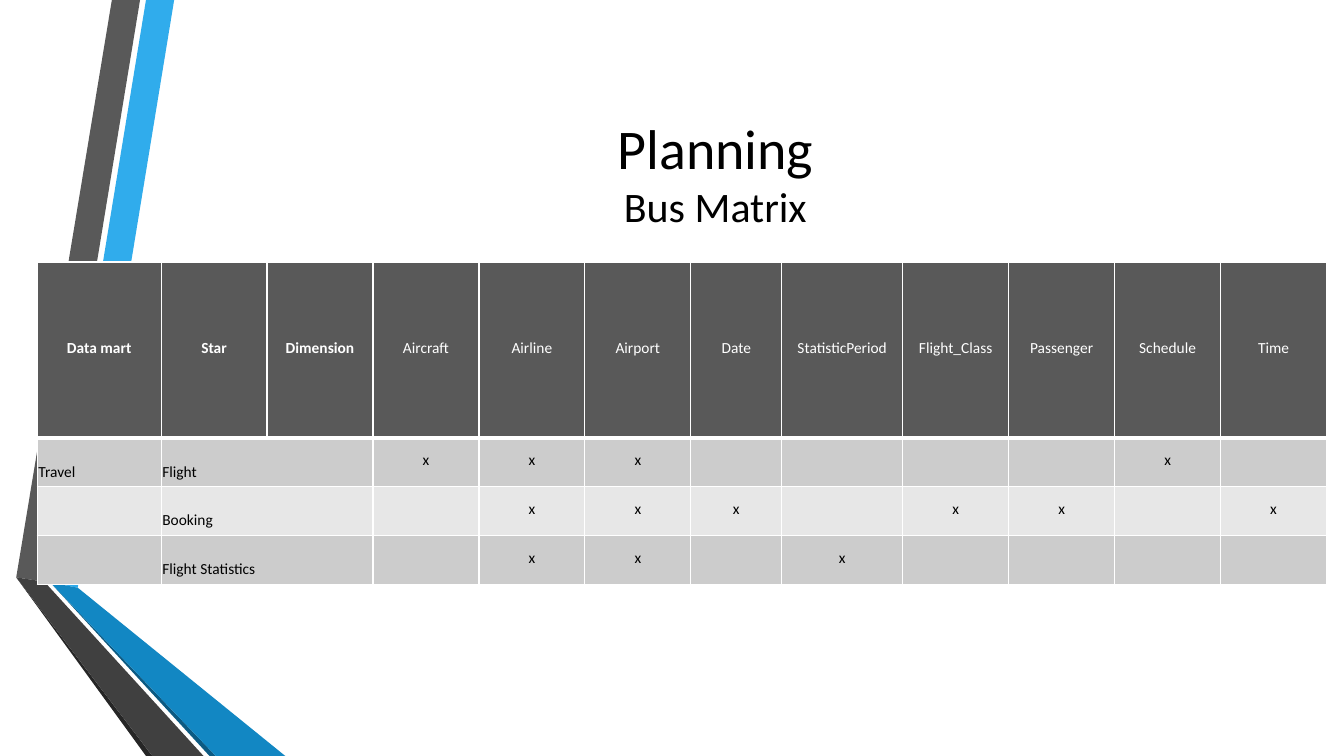
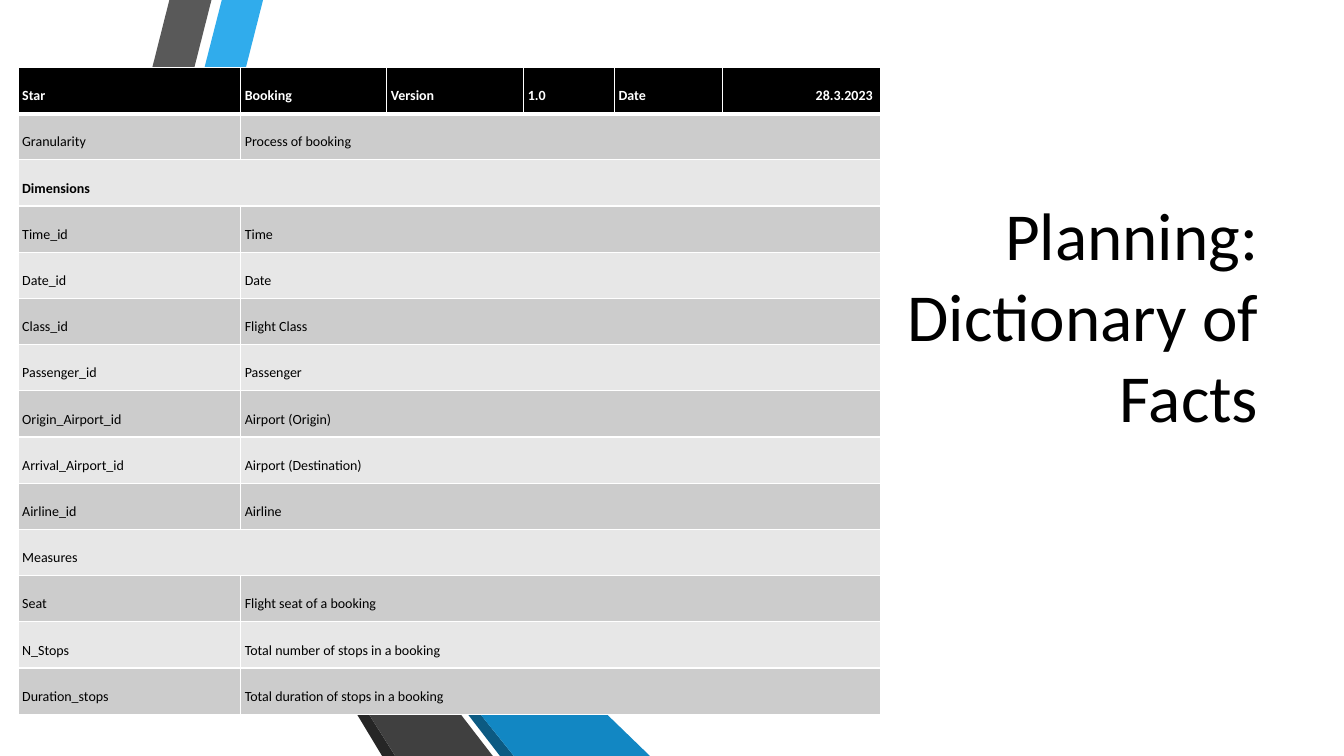
from dataclasses import dataclass

from lxml.etree import SubElement
from pptx import Presentation
from pptx.dml.color import RGBColor
from pptx.enum.text import MSO_ANCHOR as Anchor, PP_ALIGN as Align
from pptx.oxml.ns import qn
from pptx.util import Cm, Pt

SLIDE_WIDTH, SLIDE_HEIGHT = 33.87, 19.05
FONT = "Calibri"
BLACK = RGBColor(0x00, 0x00, 0x00)
WHITE = RGBColor(0xFF, 0xFF, 0xFF)
DARK_GREY = RGBColor(0x59, 0x59, 0x59)
BAND_COLOURS = (RGBColor(0xCC, 0xCC, 0xCC), RGBColor(0xE7, 0xE7, 0xE7))
# Colours of a ribbon: upper part, shaded edge, lower part
GREY_RIBBON = (DARK_GREY, RGBColor(0x26, 0x26, 0x26), RGBColor(0x40, 0x40, 0x40))
BLUE_RIBBON = (RGBColor(0x30, 0xAC, 0xEC), RGBColor(0x0C, 0x5A, 0x82),
               RGBColor(0x12, 0x87, 0xC3))


@dataclass
class Ribbon:
    """A folded ribbon: the two fold corners, then x at the slide's top and bottom."""
    colours: tuple
    fold_left: tuple
    fold_right: tuple
    top: tuple
    bottom: tuple


NARROW_RIBBONS = (
    Ribbon(GREY_RIBBON, (0.41, 14.55), (1.12, 14.66), (2.82, 3.53), (3.68, 3.84, 5.13)),
    Ribbon(BLUE_RIBBON, (1.27, 14.68), (1.96, 14.81), (3.68, 4.39), (5.28, 5.44, 7.19)),
)
WIDE_RIBBONS = (
    Ribbon(GREY_RIBBON, (2.46, 7.16), (3.45, 7.42), (4.27, 5.33), (9.63, 9.96, 12.42)),
    Ribbon(BLUE_RIBBON, (3.68, 7.47), (4.67, 7.72), (5.59, 6.63), (12.6, 12.95, 16.38)),
)

DIMENSIONS = ("Aircraft", "Airline", "Airport", "Date", "StatisticPeriod",
              "Flight_Class", "Passenger", "Schedule", "Time")
STAR_DIMENSIONS = {
    "Flight": ("Aircraft", "Airline", "Airport", "Schedule"),
    "Booking": ("Airline", "Airport", "Date", "Flight_Class", "Passenger", "Time"),
    "Flight Statistics": ("Airline", "Airport", "StatisticPeriod"),
}
MATRIX_COLUMNS = (3.12, *[2.67] * 5, 2.29, 3.05, *[2.67] * 4)
MATRIX_MARGINS = (0.03, 0.03, 0.03, 0.13)

FACT_HEADER = ("Star", "Booking", "Version", "1.0", "Date", "28.3.2023")
FACT_ROWS = (
    ("Granularity", "Process of booking"),
    ("Dimensions",),
    ("Time_id", "Time"),
    ("Date_id", "Date"),
    ("Class_id", "Flight Class"),
    ("Passenger_id", "Passenger"),
    ("Origin_Airport_id", "Airport (Origin)"),
    ("Arrival_Airport_id", "Airport (Destination)"),
    ("Airline_id", "Airline"),
    ("Measures",),
    ("Seat", "Flight seat of a booking"),
    ("N_Stops", "Total number of stops in a booking"),
    ("Duration_stops", "Total duration of stops in a booking"),
)
FACT_COLUMNS = (5.61, 3.68, 3.45, 2.29, 2.72, 3.99)
FACT_MARGINS = (0.1, 0.03, 0.21, 0.23)


def style_span(span, size, colour, bold=False):
    span.font.name = FONT
    span.font.size = Pt(size)
    span.font.bold = bold
    span.font.color.rgb = colour


def add_polygon(slide, points, colour):
    corners = [(Cm(x), Cm(y)) for x, y in points]
    builder = slide.shapes.build_freeform(*corners[0])
    builder.add_line_segments(corners[1:], close=True)
    shape = builder.convert_to_shape()
    shape.shadow.inherit = False
    shape.fill.solid()
    shape.fill.fore_color.rgb = colour
    shape.line.fill.background()


def add_ribbon(slide, ribbon):
    left, right = ribbon.fold_left, ribbon.fold_right
    top_left, top_right = [(x, 0) for x in ribbon.top]
    edge_left, edge_right, tail_right = [(x, SLIDE_HEIGHT) for x in ribbon.bottom]
    outlines = ((left, right, top_right, top_left),
                (left, edge_left, edge_right),
                (left, edge_right, tail_right, right))
    for points, colour in zip(outlines, ribbon.colours):
        add_polygon(slide, points, colour)


def add_slide(deck, ribbons):
    slide = deck.slides.add_slide(deck.slide_layouts[6])
    for ribbon in ribbons:
        add_ribbon(slide, ribbon)
    return slide


def add_title(slide, box, text, sizes, align, anchor):
    """Add a title whose lines take their sizes, in points, in turn."""
    frame = slide.shapes.add_textbox(*map(Cm, box)).text_frame
    frame.word_wrap = True
    frame.vertical_anchor = anchor
    para = frame.paragraphs[0]
    para.text = text
    para.alignment = align
    for span, size in zip(para.runs, sizes):
        style_span(span, size, BLACK)


def set_borders(cell, row):
    """Draw white borders, with a heavier line below the header row."""
    props = cell._tc.get_or_add_tcPr()
    heavy = {(0, "lnB"), (1, "lnT")}
    for side in ("lnL", "lnR", "lnT", "lnB"):
        width = Pt(3 if (row, side) in heavy else 1)
        line = SubElement(props, qn(f"a:{side}"), w=str(width))
        fill = SubElement(line, qn("a:solidFill"))
        SubElement(fill, qn("a:srgbClr"), val=str(WHITE))


def add_banded_table(slide, left, top, columns, heights, header_colour, margins):
    graphic = slide.shapes.add_table(len(heights), len(columns), Cm(left), Cm(top),
                                     Cm(sum(columns)), Cm(sum(heights)))
    table = graphic.table
    table.horz_banding = False
    for column, width in zip(table.columns, columns):
        column.width = Cm(width)
    for index, height in enumerate(heights):
        row = table.rows[index]
        row.height = Cm(height)
        for cell in row.cells:
            set_borders(cell, index)
            cell.fill.solid()
            cell.fill.fore_color.rgb = (BAND_COLOURS[(index - 1) % 2] if index
                                        else header_colour)
            (cell.margin_left, cell.margin_top,
             cell.margin_right, cell.margin_bottom) = map(Cm, margins)
    return table


def write_cell(cell, text, size, colour=BLACK, bold=False,
               align=Align.LEFT, anchor=Anchor.BOTTOM):
    cell.vertical_anchor = anchor
    para = cell.text_frame.paragraphs[0]
    para.text = text
    para.alignment = align
    for span in para.runs:
        style_span(span, size, colour, bold)


def add_bus_matrix(slide, left, top):
    size = 11
    centred = {"align": Align.CENTER, "anchor": Anchor.MIDDLE}
    heights = (4.43, *[1.23] * len(STAR_DIMENSIONS))
    table = add_banded_table(slide, left, top, MATRIX_COLUMNS, heights,
                             DARK_GREY, MATRIX_MARGINS)
    labels = ("Data mart", "Star", "Dimension")
    for column, text in enumerate(labels + DIMENSIONS):
        write_cell(table.cell(0, column), text, size, WHITE,
                   bold=column < len(labels), **centred)
    write_cell(table.cell(1, 0), "Travel", size)
    for row, (star, used) in enumerate(STAR_DIMENSIONS.items(), 1):
        table.cell(row, 1).merge(table.cell(row, 2))
        write_cell(table.cell(row, 1), star, size)
        for dimension in used:
            column = len(labels) + DIMENSIONS.index(dimension)
            write_cell(table.cell(row, column), "x", size, **centred)


def add_fact_dictionary(slide, left, top, height):
    size = 10
    count = len(FACT_ROWS) + 1
    table = add_banded_table(slide, left, top, FACT_COLUMNS, [height / count] * count,
                             BLACK, FACT_MARGINS)
    last = len(FACT_COLUMNS) - 1
    for column, text in enumerate(FACT_HEADER):
        write_cell(table.cell(0, column), text, size, WHITE, bold=True,
                   align=Align.RIGHT if column == last else Align.LEFT)
    for row, texts in enumerate(FACT_ROWS, 1):
        table.cell(row, len(texts) - 1).merge(table.cell(row, last))
        for column, text in enumerate(texts):
            write_cell(table.cell(row, column), text, size, bold=text == "Dimensions")


def add_bus_matrix_slide(deck):
    slide = add_slide(deck, NARROW_RIBBONS)
    add_title(slide, (4.11, 1.9, 27.84, 4.88), "Planning\nBus Matrix", (40, 30),
              Align.CENTER, Anchor.MIDDLE)
    add_bus_matrix(slide, 0.94, 6.6)


def add_fact_dictionary_slide(deck):
    slide = add_slide(deck, WIDE_RIBBONS)
    add_title(slide, (22.33, 1.8, 9.63, 9.3), "Planning:\nDictionary of Facts", (48, 48),
              Align.RIGHT, Anchor.BOTTOM)
    add_fact_dictionary(slide, 0.46, 1.7, 16.31)


def main():
    deck = Presentation()
    deck.slide_width, deck.slide_height = Cm(SLIDE_WIDTH), Cm(SLIDE_HEIGHT)
    add_bus_matrix_slide(deck)
    add_fact_dictionary_slide(deck)
    deck.save("out.pptx")


if __name__ == "__main__":
    main()
